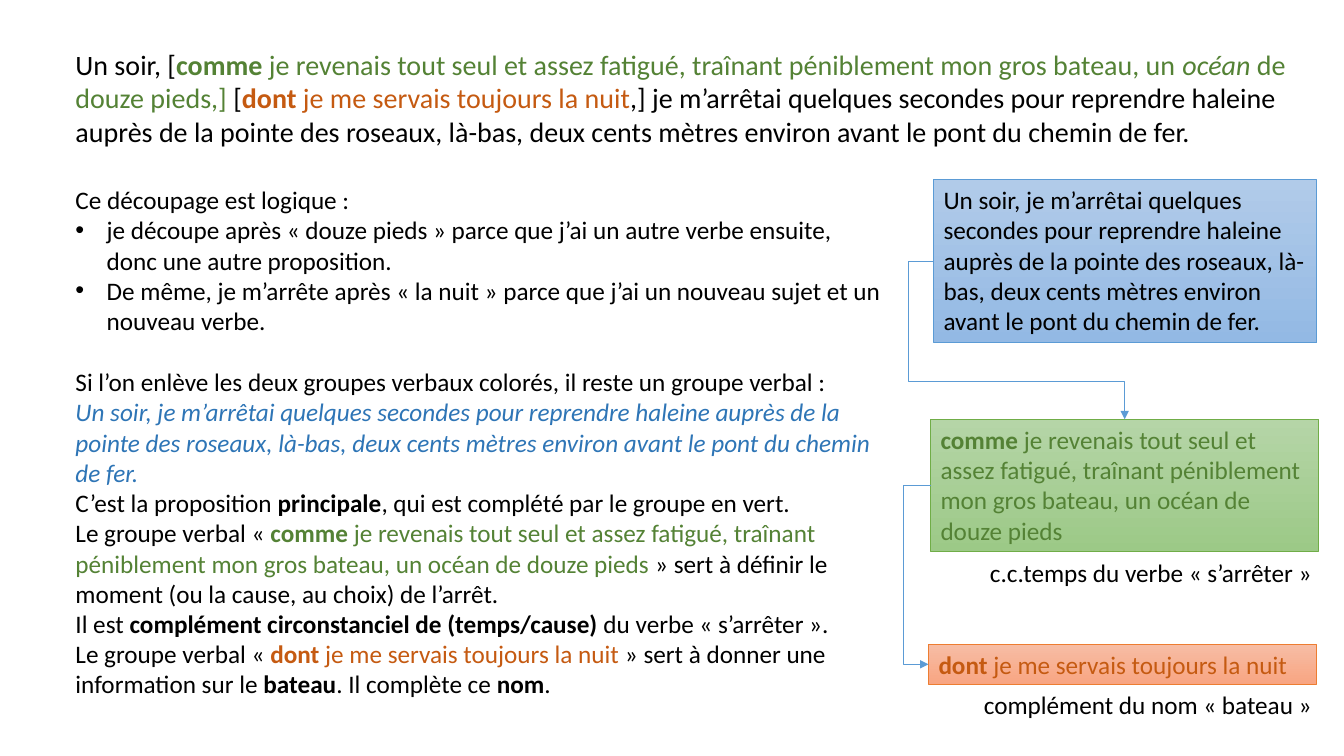
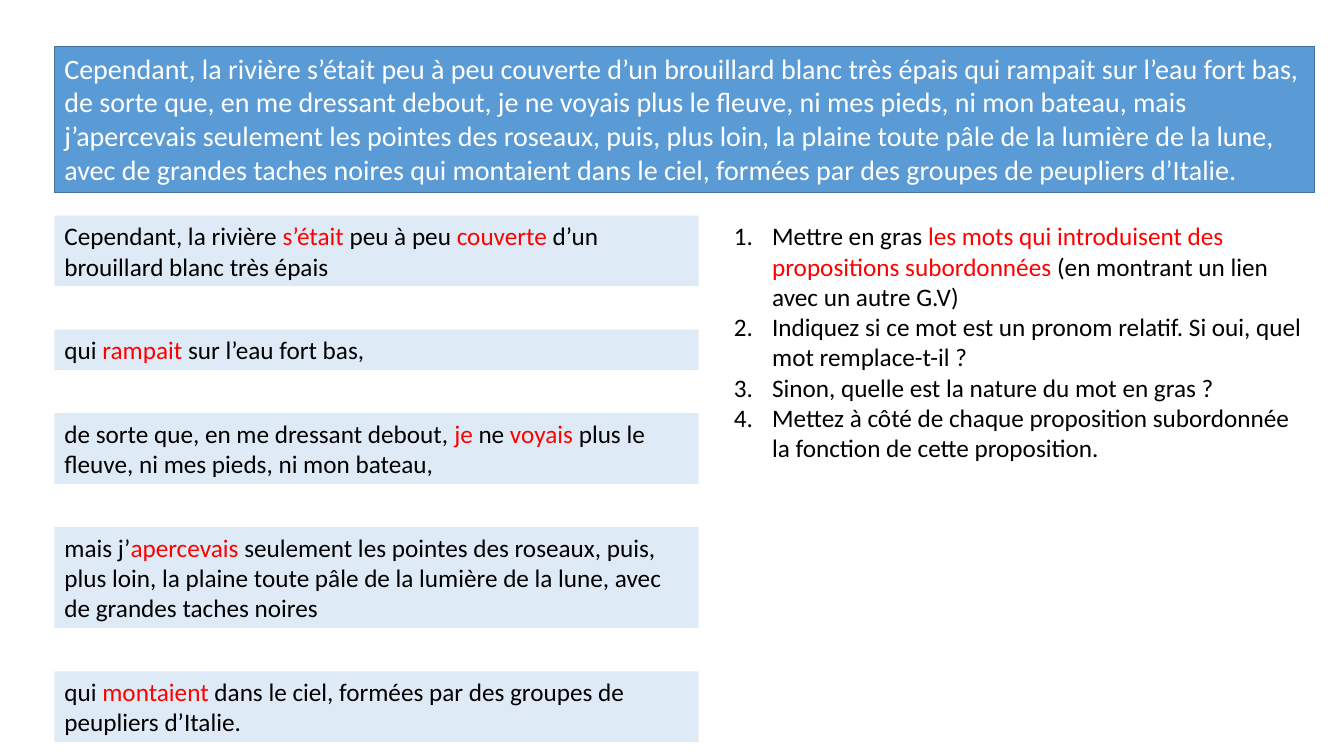
from lxml import etree
from pptx import Presentation
from pptx.dml.color import RGBColor
from pptx.enum.shapes import MSO_CONNECTOR, MSO_SHAPE
from pptx.enum.text import MSO_ANCHOR, PP_ALIGN
from pptx.oxml.ns import qn
from pptx.util import Inches, Pt

RECTANGLE = MSO_SHAPE.RECTANGLE
ELBOW = MSO_CONNECTOR.ELBOW
TOP = MSO_ANCHOR.TOP
LEFT = PP_ALIGN.LEFT
LEFT_SITE, TOP_SITE = 1, 0

FONT = "Calibri"
BODY_SIZE, QUOTE_SIZE = 18, 20
BLACK, WHITE, RED = "000000", "FFFFFF", "FF0000"
GREEN, ORANGE, BLUE_TEXT = "548235", "C55A11", "2E75B6"
BLUE, BLUE_EDGE, PALE_BLUE = "5B9BD5", "43739E", "DEEBF7"
GREEN_EDGE, ORANGE_EDGE = "70AD47", "ED7D31"
BLUE_FADE = ("B1CBE9", "93B9E4")
GREEN_FADE = ("B5D5A7", "9CC987")
ORANGE_FADE = ("F7BDA5", "F8A582")

MAIN_CLAUSE = (
    "Un soir, je m’arrêtai quelques secondes pour reprendre haleine auprès de la pointe "
    "des roseaux, là-bas, deux cents mètres environ avant le pont du chemin de fer."
)
TIME_CLAUSE = (
    "je revenais tout seul et assez fatigué, traînant péniblement mon gros bateau, "
    "un océan de douze pieds"
)
RELATIVE_CLAUSE = " je me servais toujours la nuit"

# A paragraph is a list of runs: plain text, or (text, colour, style) with style "b" or "i".
QUOTE = [
    "Un soir, [",
    ("comme", GREEN, "b"),
    (" je revenais tout seul et assez fatigué, traînant péniblement mon gros bateau, un ", GREEN, ""),
    ("océan", GREEN, "i"),
    (" de douze pieds,]", GREEN, ""),
    " [",
    ("dont", ORANGE, "b"),
    (RELATIVE_CLAUSE, ORANGE, ""),
    ",] je m’arrêtai quelques secondes pour reprendre haleine auprès de la pointe des roseaux, "
    "là-bas, deux cents mètres environ avant le pont du chemin de fer.",
]
DIVISION = [
    ["Ce découpage est logique :"],
    ["je découpe après « douze pieds » parce que j’ai un autre verbe ensuite, "
     "donc une autre proposition."],
    ["De même, je m’arrête après « la nuit » parce que j’ai un nouveau sujet et un nouveau verbe."],
]
FUNCTIONS = [
    ["Si l’on enlève les deux groupes verbaux colorés, il reste un groupe verbal :"],
    [(MAIN_CLAUSE, BLUE_TEXT, "i")],
    ["C’est la proposition ", ("principale", BLACK, "b"),
     ", qui est complété par le groupe en vert."],
    ["Le groupe verbal « ", ("comme ", GREEN, "b"), (TIME_CLAUSE, GREEN, ""),
     " » sert à définir le moment (ou la cause, au choix) de l’arrêt."],
    ["Il est ", ("complément circonstanciel de (temps/cause) ", BLACK, "b"),
     "du verbe « s’arrêter »."],
    ["Le groupe verbal « ", ("dont", ORANGE, "b"), (RELATIVE_CLAUSE, ORANGE, ""),
     " » sert à donner une information sur le ", ("bateau", BLACK, "b"),
     ". Il complète ce ", ("nom", BLACK, "b"), "."],
]
RIVER_QUOTE = (
    "Cependant, la rivière s’était peu à peu couverte d’un brouillard blanc très épais qui "
    "rampait sur l’eau fort bas, de sorte que, en me dressant debout, je ne voyais plus le "
    "fleuve, ni mes pieds, ni mon bateau, mais j’apercevais seulement les pointes des roseaux, "
    "puis, plus loin, la plaine toute pâle de la lumière de la lune, avec de grandes taches "
    "noires qui montaient dans le ciel, formées par des groupes de peupliers d’Italie."
)
# Each clause with the number of lines it fills.
CLAUSES = [
    (2, ["Cependant, la rivière ", ("s’était ", RED, ""), "peu à peu ",
         ("couverte ", RED, ""), "d’un brouillard blanc très épais"]),
    (1, ["qui ", ("rampait", RED, ""), " sur l’eau fort bas,"]),
    (2, ["de sorte que, en me dressant debout, ", ("je ", RED, ""), "ne",
         (" voyais ", RED, ""), "plus le fleuve, ni mes pieds, ni mon bateau,"]),
    (3, ["mais j’", ("apercevais", RED, ""),
         " seulement les pointes des roseaux, puis, plus loin, la plaine toute pâle de la "
         "lumière de la lune, avec de grandes taches noires"]),
    (2, ["qui ", ("montaient", RED, ""),
         " dans le ciel, formées par des groupes de peupliers d’Italie."]),
]
QUESTIONS = [
    ["Mettre en gras ",
     ("les mots qui introduisent des propositions subordonnées ", RED, ""),
     "(en montrant un lien avec un autre G.V)"],
    ["Indiquez si ce mot est un pronom relatif. Si oui, quel mot remplace-t-il ?"],
    ["Sinon, quelle est la nature du mot en gras ?"],
    ["Mettez à côté de chaque proposition subordonnée la fonction de cette proposition."],
]


def rgb(value):
    return RGBColor.from_string(value)


def write(shape, paragraphs, size=BODY_SIZE):
    """Fill a shape with paragraphs of styled runs and return the paragraphs."""
    text_frame = shape.text_frame
    text_frame.word_wrap = True
    text_frame.vertical_anchor = TOP
    for index, runs in enumerate(paragraphs):
        paragraph = text_frame.add_paragraph() if index else text_frame.paragraphs[0]
        paragraph.alignment = LEFT
        for item in runs:
            text, colour, style = (item, BLACK, "") if isinstance(item, str) else item
            run = paragraph.add_run()
            run.text = text
            run.font.name = FONT
            run.font.size = Pt(size)
            run.font.color.rgb = rgb(colour)
            run.font.bold = style == "b"
            run.font.italic = style == "i"
    return text_frame.paragraphs


def add_text(slide, box, paragraphs, size=BODY_SIZE):
    return write(slide.shapes.add_textbox(*map(Inches, box)), paragraphs, size)


def add_panel(slide, box, runs, fill, edge=None, edge_width=0.5, size=BODY_SIZE):
    """Add a rectangle; a pair of fill colours makes a top-to-bottom fade."""
    panel = slide.shapes.add_shape(RECTANGLE, *map(Inches, box))
    panel.shadow.inherit = False
    if isinstance(fill, str):
        panel.fill.solid()
        panel.fill.fore_color.rgb = rgb(fill)
    else:
        panel.fill.gradient()
        panel.fill.gradient_angle = 270
        for stop, colour in zip(panel.fill.gradient_stops, fill):
            stop.color.rgb = rgb(colour)
    if edge:
        panel.line.color.rgb = rgb(edge)
        panel.line.width = Pt(edge_width)
    else:
        panel.line.fill.background()
    write(panel, [runs], size)
    return panel


def add_list_mark(paragraph, indent, tag, font, **attributes):
    properties = paragraph._p.get_or_add_pPr()
    properties.set("marL", str(Inches(indent)))
    properties.set("indent", str(-Inches(indent)))
    etree.SubElement(properties, qn("a:buFont")).set("typeface", font)
    etree.SubElement(properties, qn(tag), attributes)


def add_bent_arrow(slide, source, target, target_site, bend_x, bend_y=None):
    """Link the left side of source to target, bending at bend_x and, if given, bend_y."""
    arrow = slide.shapes.add_connector(ELBOW, 0, 0, 0, 0)
    arrow.begin_connect(source, LEFT_SITE)
    arrow.end_connect(target, target_site)
    arrow.line.color.rgb = rgb(BLUE)
    arrow.line.width = Pt(0.5)
    bends = [(Inches(bend_x) - arrow.begin_x) / (arrow.end_x - arrow.begin_x)]
    if bend_y is not None:
        bends.append((Inches(bend_y) - arrow.begin_y) / (arrow.end_y - arrow.begin_y))
    properties = arrow._element.spPr
    geometry = properties.find(qn("a:prstGeom"))
    geometry.set("prst", f"bentConnector{len(bends) + 2}")
    guides = geometry.find(qn("a:avLst"))
    if guides is None:
        guides = etree.SubElement(geometry, qn("a:avLst"))
    for number, bend in enumerate(bends, 1):
        etree.SubElement(guides, qn("a:gd"), name=f"adj{number}", fmla=f"val {round(bend * 100000)}")
    etree.SubElement(properties.find(qn("a:ln")), qn("a:tailEnd"), type="triangle")
    etree.SubElement(properties, qn("a:effectLst"))


def add_explanation(slide, box):
    paragraphs = add_text(slide, box, DIVISION + FUNCTIONS)
    for paragraph in paragraphs[1:len(DIVISION)]:
        add_list_mark(paragraph, 0.31, "a:buChar", "Arial", char="•")
    paragraphs[len(DIVISION)].space_before = Pt(22)


def add_clause_diagram(slide, left, top):
    """Stack the main clause and the two clauses that depend on it."""
    main = add_panel(slide, (left + 0.05, top, 3.8, 1.62), [MAIN_CLAUSE], BLUE_FADE, BLUE)
    time = add_panel(slide, (left + 0.02, top + 2.38, 3.85, 1.31),
                     [("comme", GREEN, "b"), (" " + TIME_CLAUSE, GREEN, "")],
                     GREEN_FADE, GREEN_EDGE)
    relative = add_panel(slide, (left, top + 4.61, 3.85, 0.4),
                         [("dont", ORANGE, "b"), (RELATIVE_CLAUSE, ORANGE, "")],
                         ORANGE_FADE, ORANGE_EDGE)
    add_bent_arrow(slide, time, relative, LEFT_SITE, left - 0.25)
    add_bent_arrow(slide, main, time, TOP_SITE, left - 0.2, top + 2)
    add_text(slide, (left + 0.51, top + 3.7, 3.56, 0.4), [["c.c.temps du verbe « s’arrêter »"]])
    add_text(slide, (left + 0.45, top + 5.01, 3.5, 0.4), [["complément du nom « bateau »"]])


def add_clause_cards(slide, left, top, width):
    for lines, runs in CLAUSES:
        height = 0.1 + 0.3 * lines
        add_panel(slide, (left, top, width, height), runs, PALE_BLUE)
        top += height + 0.43


def add_questions(slide, box):
    for paragraph in add_text(slide, box, QUESTIONS):
        add_list_mark(paragraph, 0.38, "a:buAutoNum", "+mj-lt", type="arabicPeriod")


def build_analysis_slide(slide):
    add_text(slide, (0.65, 0.42, 12.31, 1.11), [QUOTE], QUOTE_SIZE)
    add_explanation(slide, (0.65, 1.78, 8.19, 5.55))
    add_clause_diagram(slide, 9.21, 1.78)


def build_exercise_slide(slide):
    add_panel(slide, (0.54, 0.46, 12.5, 1.45), [(RIVER_QUOTE, WHITE, "")],
              BLUE, BLUE_EDGE, 1, QUOTE_SIZE)
    add_clause_cards(slide, 0.54, 2.14, 6.39)
    add_questions(slide, (7.18, 2.14, 5.85, 2.52))


def main():
    presentation = Presentation()
    presentation.slide_width = Inches(13.33)
    presentation.slide_height = Inches(7.5)
    blank = presentation.slide_layouts[6]
    for build in (build_analysis_slide, build_exercise_slide):
        build(presentation.slides.add_slide(blank))
    presentation.save("out.pptx")


if __name__ == "__main__":
    main()
